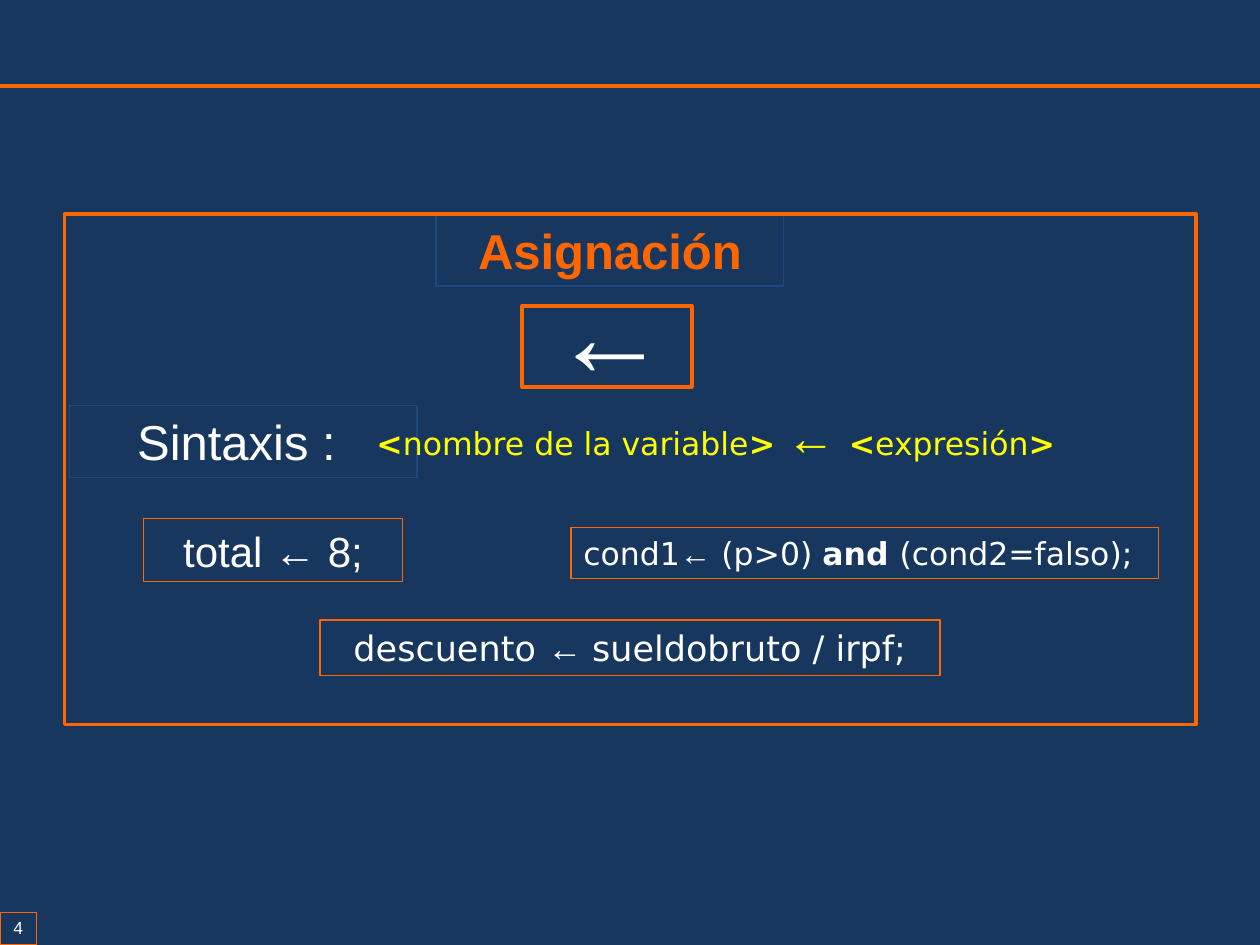
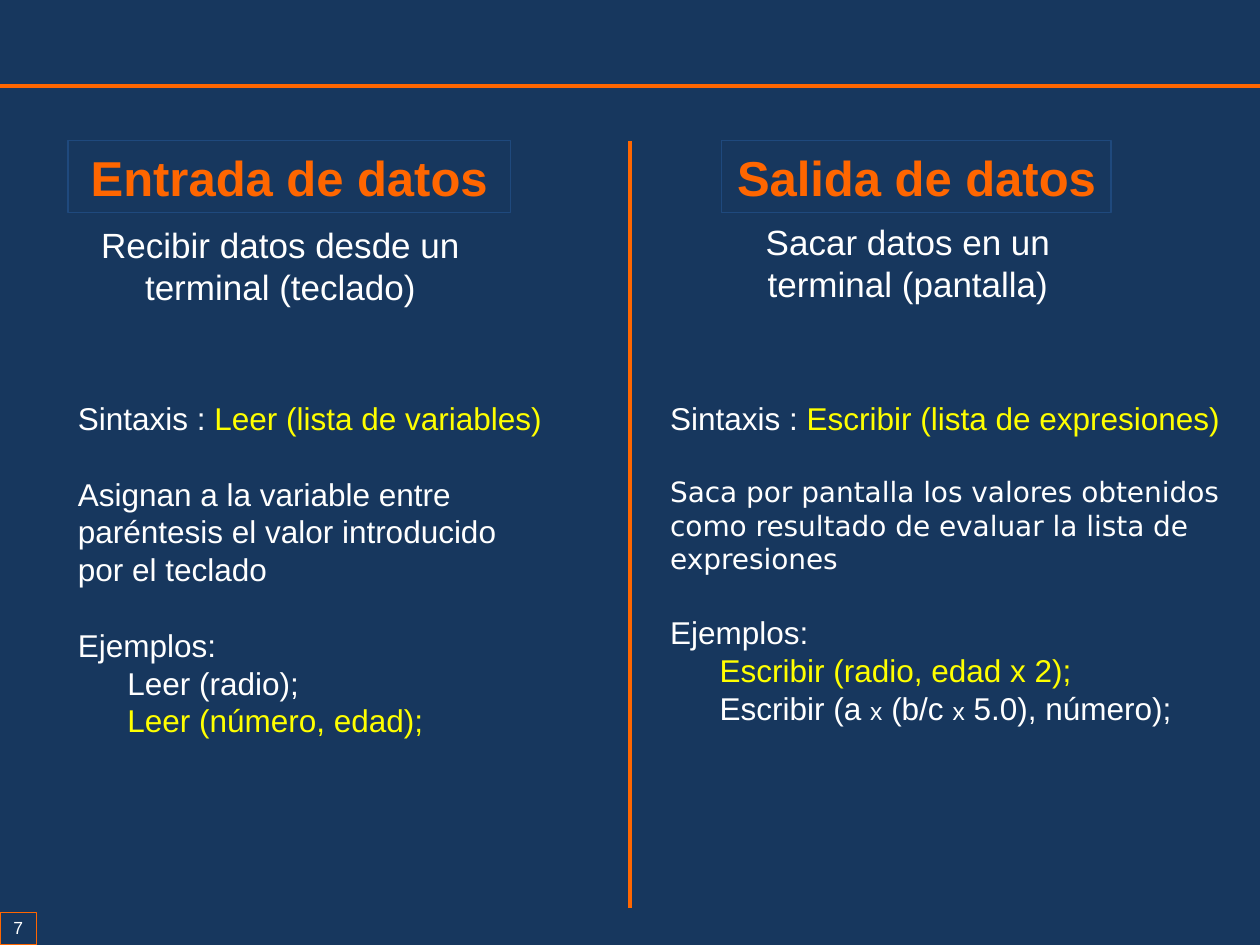
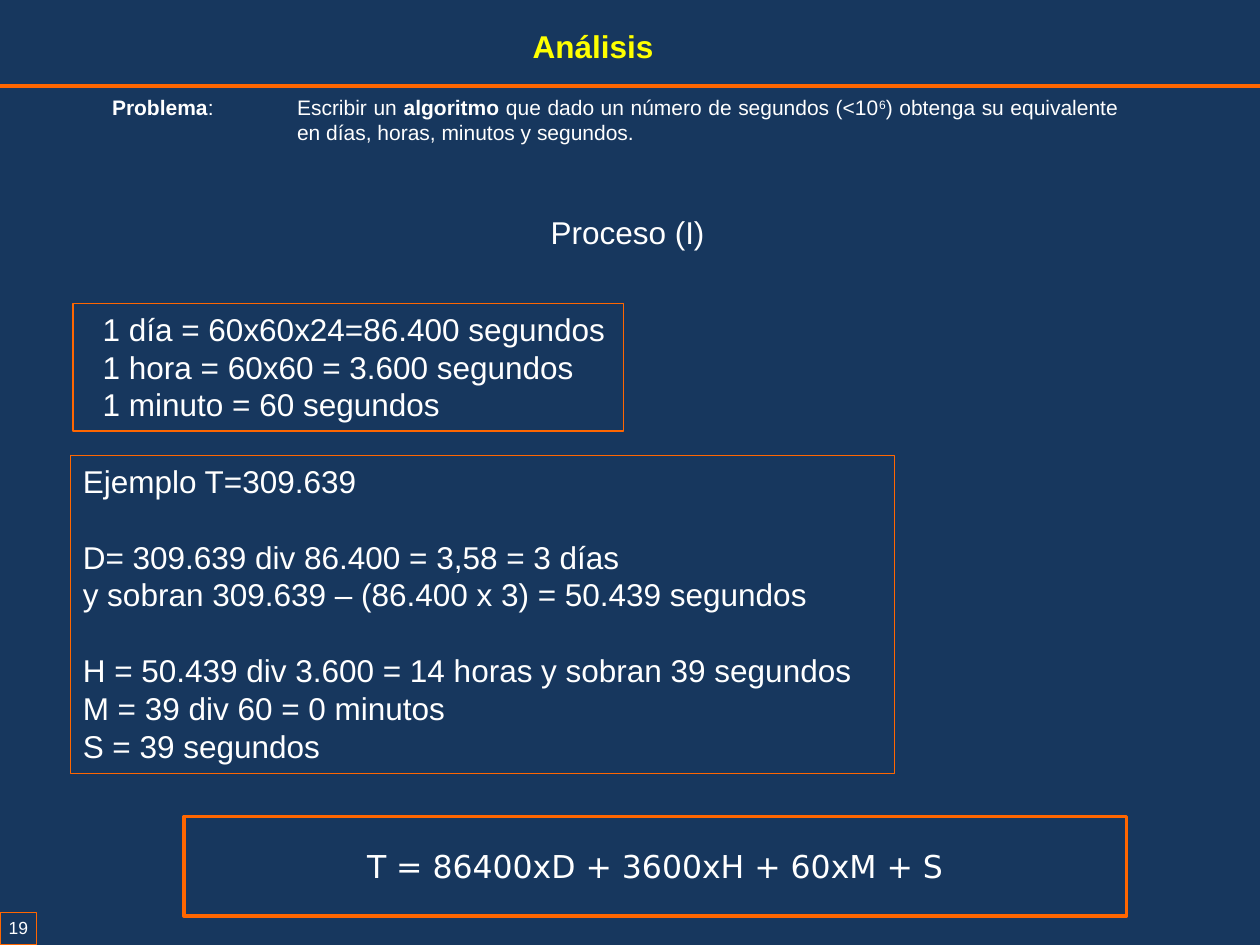
from dataclasses import dataclass

from lxml import etree
from pptx import Presentation
from pptx.dml.color import RGBColor
from pptx.enum.shapes import MSO_CONNECTOR, MSO_SHAPE
from pptx.enum.text import MSO_ANCHOR, MSO_AUTO_SIZE, PP_ALIGN
from pptx.oxml.ns import qn
from pptx.util import Cm, Pt

NAVY = RGBColor(0x17, 0x37, 0x5E)
BLUE = RGBColor(0x1F, 0x49, 0x7D)
ORANGE = RGBColor(0xFF, 0x66, 0x00)
YELLOW = RGBColor(0xFF, 0xFF, 0x00)
WHITE = RGBColor(0xFF, 0xFF, 0xFF)

ARIAL, DEJAVU = "Arial", "DejaVu Sans"
THIN, THICK = 0.75, 2
BLANK_LINE = 21.6  # gap of one 18 pt line

LEFT, CENTER, JUSTIFY = PP_ALIGN.LEFT, PP_ALIGN.CENTER, PP_ALIGN.JUSTIFY
TOP, MIDDLE = MSO_ANCHOR.TOP, MSO_ANCHOR.MIDDLE
GROW, FIXED = MSO_AUTO_SIZE.SHAPE_TO_FIT_TEXT, MSO_AUTO_SIZE.NONE
RECTANGLE, STRAIGHT = MSO_SHAPE.RECTANGLE, MSO_CONNECTOR.STRAIGHT


@dataclass
class Span:
    """Text with what differs from the style of its box."""
    text: str
    size: float = None
    font: str = None
    color: RGBColor = None
    bold: bool = None
    superscript: bool = False


@dataclass
class Par:
    """A paragraph: a string, a span or a list of both."""
    content: object
    indent: float = 0
    first: float = 0
    before: float = 0
    spacing: float = None


class Deck:
    def __init__(self):
        self.prs = Presentation()
        self.prs.slide_width, self.prs.slide_height = Cm(25.4), Cm(19.05)
        self.slide = None

    def new_slide(self, number):
        """Start a slide with the background, header rule and page number."""
        self.slide = self.prs.slides.add_slide(self.prs.slide_layouts[6])
        background = self.slide.background.fill
        background.solid()
        background.fore_color.rgb = NAVY
        self.rule(0, 1.73, 25.4, 1.73)
        page = self.box((0, 18.39, 0.74, 0.66), str(number), size=10, wrap=False)
        frame = page.text_frame
        frame.margin_left = frame.margin_right = Cm(0.05)
        frame.margin_top = frame.margin_bottom = Cm(0.1)

    def rule(self, x1, y1, x2, y2):
        line = self.slide.shapes.add_connector(STRAIGHT, Cm(x1), Cm(y1), Cm(x2), Cm(y2))
        line.line.color.rgb = ORANGE
        line.line.width = Pt(THICK)
        etree.SubElement(line._element.spPr, qn("a:effectLst"))

    def box(self, area, content=None, border=ORANGE, weight=THIN, fill=None,
            align=CENTER, **style):
        shape = self.slide.shapes.add_shape(RECTANGLE, *map(Cm, area))
        shape.shadow.inherit = False
        if fill is None:
            shape.fill.background()
        else:
            shape.fill.solid()
            shape.fill.fore_color.rgb = fill
        shape.line.color.rgb = border
        shape.line.width = Pt(weight)
        if content is not None:
            self.set_text(shape.text_frame, content, align=align, **style)
        return shape

    def text(self, area, content, **style):
        textbox = self.slide.shapes.add_textbox(*map(Cm, area))
        self.set_text(textbox.text_frame, content, **style)

    def heading(self, area, title, wrap=False):
        self.box(area, title, border=BLUE, size=28, color=ORANGE, bold=True, wrap=wrap)

    def set_text(self, frame, content, size=18, font=ARIAL, color=WHITE, bold=False,
                 align=LEFT, anchor=TOP, wrap=True, fit=GROW):
        frame.word_wrap = wrap
        frame.auto_size = fit
        frame.vertical_anchor = anchor
        items = content if isinstance(content, list) else [content]
        for index, item in enumerate(items):
            par = item if isinstance(item, Par) else Par(item)
            paragraph = frame.add_paragraph() if index else frame.paragraphs[0]
            paragraph.alignment = align
            if par.before:
                paragraph.space_before = Pt(par.before)
            if par.spacing:
                paragraph.line_spacing = par.spacing
            if par.indent:
                properties = paragraph._p.get_or_add_pPr()
                properties.set("marL", str(Cm(par.indent)))
                properties.set("indent", str(Cm(par.first)))
            pieces = par.content if isinstance(par.content, list) else [par.content]
            for piece in pieces:
                span = piece if isinstance(piece, Span) else Span(piece)
                run = paragraph.add_run()
                run.text = span.text
                run.font.size = Pt(span.size or size)
                run.font.name = span.font or font
                run.font.color.rgb = span.color or color
                run.font.bold = bold if span.bold is None else span.bold
                if span.superscript:
                    run._r.get_or_add_rPr().set("baseline", "30000")


def assignment_slide(deck):
    deck.new_slide(4)
    deck.box((2.9, 10.46, 5.21, 1.27), "total ← 8;", size=24)
    deck.heading((8.79, 4.32, 7.01, 1.45), "Asignación", wrap=True)

    # Assignment operator
    deck.text((9.4, 5.13, 5.79, 3.07), "←", size=66, bold=True, align=CENTER)
    deck.box((10.52, 6.17, 3.43, 1.63), weight=THICK)

    # Syntax
    deck.box((1.4, 8.18, 7.01, 1.45), "Sintaxis : ", border=BLUE, size=28)
    syntax = [Span("<", bold=True), "nombre de la variable", Span("> ", bold=True),
              Span("← ", size=28, font=ARIAL, bold=True),
              Span("<", bold=True), "expresión", Span(">", bold=True)]
    deck.text((7.34, 8.2, 14.53, 1.35),
              Par(syntax, indent=1.3, first=-1.3, before=4.5, spacing=0.9),
              font=DEJAVU, color=YELLOW)

    # Examples
    deck.box((6.45, 12.5, 12.5, 1.12),
             Par(["descuento ", Span("← ", font=ARIAL), "sueldobruto / irpf;"]),
             size=20, font=DEJAVU)
    deck.box((11.51, 10.64, 11.84, 1.02),
             Par(["cond1", Span("←", font=ARIAL), " (p>0) ",
                  Span("and ", bold=True), "(cond2=falso);"]),
             font=DEJAVU, align=LEFT, wrap=False)
    deck.box((1.3, 4.32, 22.81, 10.29), weight=THICK)


def input_output_slide(deck):
    deck.new_slide(7)
    deck.rule(12.7, 2.84, 12.7, 18.31)

    def explanation(area, syntax, meaning, examples):
        deck.text(area, [
            Par(["Sintaxis : ", Span(syntax, color=YELLOW)]),
            Par(meaning, before=BLANK_LINE),
            Par("Ejemplos:", before=BLANK_LINE),
            *[Par(example, indent=1) for example in examples]])

    # Input
    deck.heading((1.37, 2.84, 8.92, 1.45), "Entrada de datos")
    deck.text((0.51, 4.39, 10.29, 1.96), "Recibir datos desde un terminal (teclado)",
              size=20, align=CENTER)
    explanation((1.32, 7.92, 10.01, 7.19), "Leer (lista de variables)",
                "Asignan a la variable entre paréntesis el valor introducido por el teclado",
                ["Leer (radio);", Span("Leer (número, edad);", color=YELLOW)])

    # Output
    deck.heading((14.55, 2.84, 7.85, 1.45), "Salida de datos")
    deck.text((14.05, 4.32, 8.51, 1.96), "Sacar datos en un terminal (pantalla)",
              size=20, align=CENTER)
    times = Span("x", size=14)
    explanation((13.26, 7.92, 11.66, 6.93), "Escribir (lista de expresiones)",
                Span("Saca por pantalla los valores obtenidos como resultado de "
                     "evaluar la lista de expresiones", size=16, font=DEJAVU),
                [Span("Escribir (radio, edad x 2);", color=YELLOW),
                 ["Escribir (a ", times, " (b/c ", times, " 5.0), número);"]])


def analysis_slide(deck):
    deck.new_slide(19)

    # Problem statement
    problem = [Span("Problema", bold=True), ":\tEscribir un ", Span("algoritmo", bold=True),
               " que dado un número de segundos (<10", Span("6", superscript=True),
               ") obtenga su equivalente en días, horas, minutos y segundos."]
    deck.text((1.78, 1.78, 21.01, 1.27), Par(problem, indent=3.96, first=-3.73),
              size=12, align=JUSTIFY)

    # Worked example
    deck.box((1.42, 9.19, 16.61, 6.4), [
        "Ejemplo T=309.639",
        Par("D= 309.639 div 86.400 = 3,58 = 3 días", before=BLANK_LINE),
        "y sobran 309.639 – (86.400 x 3) = 50.439 segundos",
        Par("H = 50.439 div 3.600 = 14 horas y sobran 39 segundos", before=BLANK_LINE),
        "M = 39 div 60 = 0 minutos",
        "S = 39 segundos"], align=LEFT)

    # Formula and unit equivalences
    deck.box((3.71, 16.46, 19, 2.01), "T = 86400xD + 3600xH + 60xM + S",
             weight=THICK, fill=NAVY, font=DEJAVU, anchor=MIDDLE, fit=FIXED)
    equivalences = ["1 día = 60x60x24=86.400 segundos",
                    "1 hora = 60x60 = 3.600 segundos",
                    "1 minuto = 60 segundos"]
    deck.box((1.47, 6.12, 11.1, 2.57), [Par(line, indent=0.35) for line in equivalences],
             align=LEFT, wrap=False)

    # Titles
    deck.text((10.49, 0.43, 2.97, 1.02), "Análisis", color=YELLOW, bold=True, wrap=False)
    deck.text((10.85, 4.17, 3.66, 1.02), "Proceso (I)", wrap=False)


def main():
    deck = Deck()
    assignment_slide(deck)
    input_output_slide(deck)
    analysis_slide(deck)
    deck.prs.save("out.pptx")


if __name__ == "__main__":
    main()
